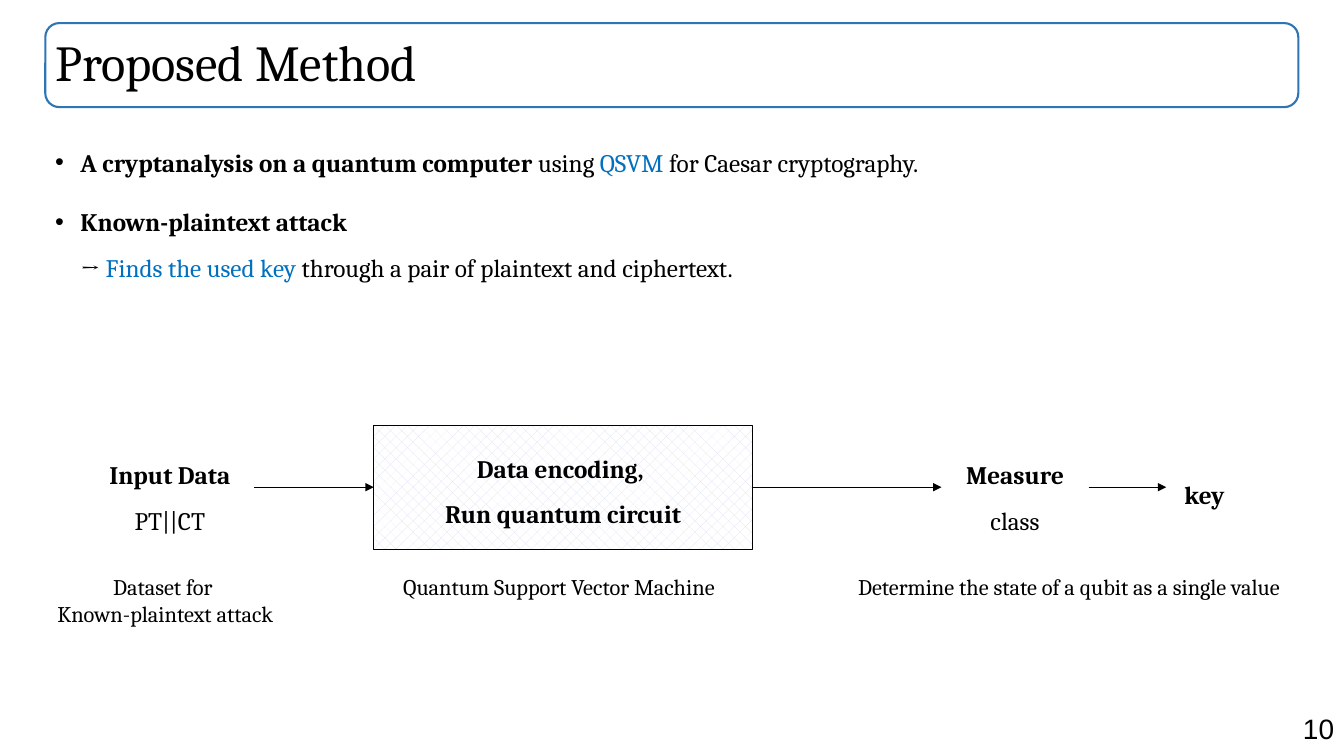
from lxml.etree import SubElement
from pptx import Presentation
from pptx.dml.color import RGBColor
from pptx.enum.dml import MSO_PATTERN
from pptx.enum.shapes import MSO_CONNECTOR, MSO_SHAPE
from pptx.enum.text import MSO_ANCHOR as ANCHOR, PP_ALIGN as ALIGN
from pptx.oxml.ns import qn
from pptx.util import Pt

BLACK, BLUE, BORDER = "000000", "0070C0", "2E75B6"
FLOW_Y = 348
CAPTION_Y = 406


def color(hex_code):
    return RGBColor.from_string(hex_code)


def write(paragraph, runs, size, font="Cambria", align=ALIGN.LEFT, spacing=1.0):
    """Fill a paragraph with (text, bold, colour) runs; a newline is a line break."""
    paragraph.alignment = align
    paragraph.line_spacing = spacing
    paragraph.font.name = font
    paragraph.font.size = Pt(size)
    for text, bold, hex_code in runs:
        for number, line in enumerate(text.split("\n")):
            if number:
                paragraph.add_line_break()
            if line:
                run = paragraph.add_run()
                run.text = line
                run.font.bold = bold
                run.font.color.rgb = color(hex_code)


def add_text(slide, box, runs, size, anchor=ANCHOR.TOP, **style):
    frame = slide.shapes.add_textbox(*map(Pt, box)).text_frame
    frame.word_wrap = True
    frame.vertical_anchor = anchor
    write(frame.paragraphs[0], runs, size, **style)


def add_box(slide, preset, box, line_color, line_width):
    shape = slide.shapes.add_shape(preset, *map(Pt, box))
    shape.shadow.inherit = False
    shape.fill.background()
    shape.line.color.rgb = color(line_color)
    shape.line.width = Pt(line_width)
    return shape


def add_bullets(slide, box, items):
    frame = slide.shapes.add_textbox(*map(Pt, box)).text_frame
    frame.word_wrap = True
    for number, runs in enumerate(items):
        paragraph = frame.add_paragraph() if number else frame.paragraphs[0]
        properties = paragraph._p.get_or_add_pPr()
        properties.set("marL", str(Pt(18)))
        properties.set("indent", str(-Pt(18)))
        SubElement(properties, qn("a:buFont"), typeface="Arial")
        SubElement(properties, qn("a:buChar"), char="•")
        write(paragraph, runs, 18, spacing=1.5)
        if number:
            paragraph.space_before = Pt(10)


def add_arrow(slide, start, end):
    arrow = slide.shapes.add_connector(
        MSO_CONNECTOR.STRAIGHT, Pt(start), Pt(FLOW_Y), Pt(end), Pt(FLOW_Y))
    arrow.line.color.rgb = color(BLACK)
    arrow.line.width = Pt(0.5)
    SubElement(arrow.line._get_or_add_ln(), qn("a:tailEnd"), type="triangle")
    SubElement(arrow._element.spPr, qn("a:effectLst"))


def add_circuit(slide, box):
    circuit = add_box(slide, MSO_SHAPE.RECTANGLE, box, BLACK, 1)
    circuit.fill.patterned()
    circuit.fill.pattern = MSO_PATTERN.PERCENT_25
    circuit.fill.fore_color.rgb = color("DAE3F3")
    circuit.fill.back_color.rgb = color("FFFFFF")
    frame = circuit.text_frame
    frame.word_wrap = True
    frame.vertical_anchor = ANCHOR.MIDDLE
    frame.margin_bottom = Pt(9)
    write(frame.paragraphs[0], [("Data encoding, \nRun quantum circuit", True, BLACK)],
          18, align=ALIGN.CENTER, spacing=1.5)


def main():
    deck = Presentation()
    deck.slide_width, deck.slide_height = Pt(960), Pt(540)
    slide = deck.slides.add_slide(deck.slide_layouts[6])

    # Page number and title
    add_text(slide, (679, 504.7, 281, 31.5), [("10", False, BLACK)], 20,
             font="Arial", align=ALIGN.RIGHT)
    title_box = (32.4, 16.5, 895, 60)
    add_box(slide, MSO_SHAPE.ROUNDED_RECTANGLE, title_box, BORDER, 1.5)
    add_text(slide, title_box, [("Proposed Method", False, BLACK)], 36,
             anchor=ANCHOR.MIDDLE, spacing=0.9)

    # Key points
    add_bullets(slide, (32.4, 90.7, 895, 398), [
        [("A cryptanalysis on a quantum computer ", True, BLACK),
         ("using ", False, BLACK),
         ("QSVM", False, BLUE),
         (" for Caesar cryptography.", False, BLACK)],
        [("Known-plaintext attack\n", True, BLACK),
         ("→ ", False, BLACK),
         ("Finds the used key ", False, BLUE),
         ("through a pair of plaintext and ciphertext.", False, BLACK)],
    ])

    # Flow from input data to key
    add_circuit(slide, (267, 303.8, 270.5, 88.6))
    for start, end in ((181.5, 267), (537.5, 672.5), (777.6, 833)):
        add_arrow(slide, start, end)
    for left, width, heading, detail in (
            (61.2, 120.3, "Input Data", "PT||CT"),
            (672.5, 105.1, "Measure", "class")):
        add_text(slide, (left, 314, width, 68.4),
                 [(heading + "\n", True, BLACK), (detail, False, BLACK)], 18,
                 align=ALIGN.CENTER, spacing=1.5)
    add_text(slide, (833, 329.8, 54.7, 36), [("key", True, BLACK)], 18,
             anchor=ANCHOR.MIDDLE, align=ALIGN.CENTER, spacing=1.5)

    # Captions under the flow
    for left, width, height, caption in (
            (16.6, 203, 46, "Dataset for \nKnown-plaintext attack"),
            (217.5, 363.6, 26.6, "Quantum Support Vector Machine"),
            (581.8, 363.6, 26.6, "Determine the state of a qubit as a single value")):
        add_text(slide, (left, CAPTION_Y, width, height), [(caption, False, BLACK)],
                 16, align=ALIGN.CENTER)

    deck.save("out.pptx")


if __name__ == "__main__":
    main()
